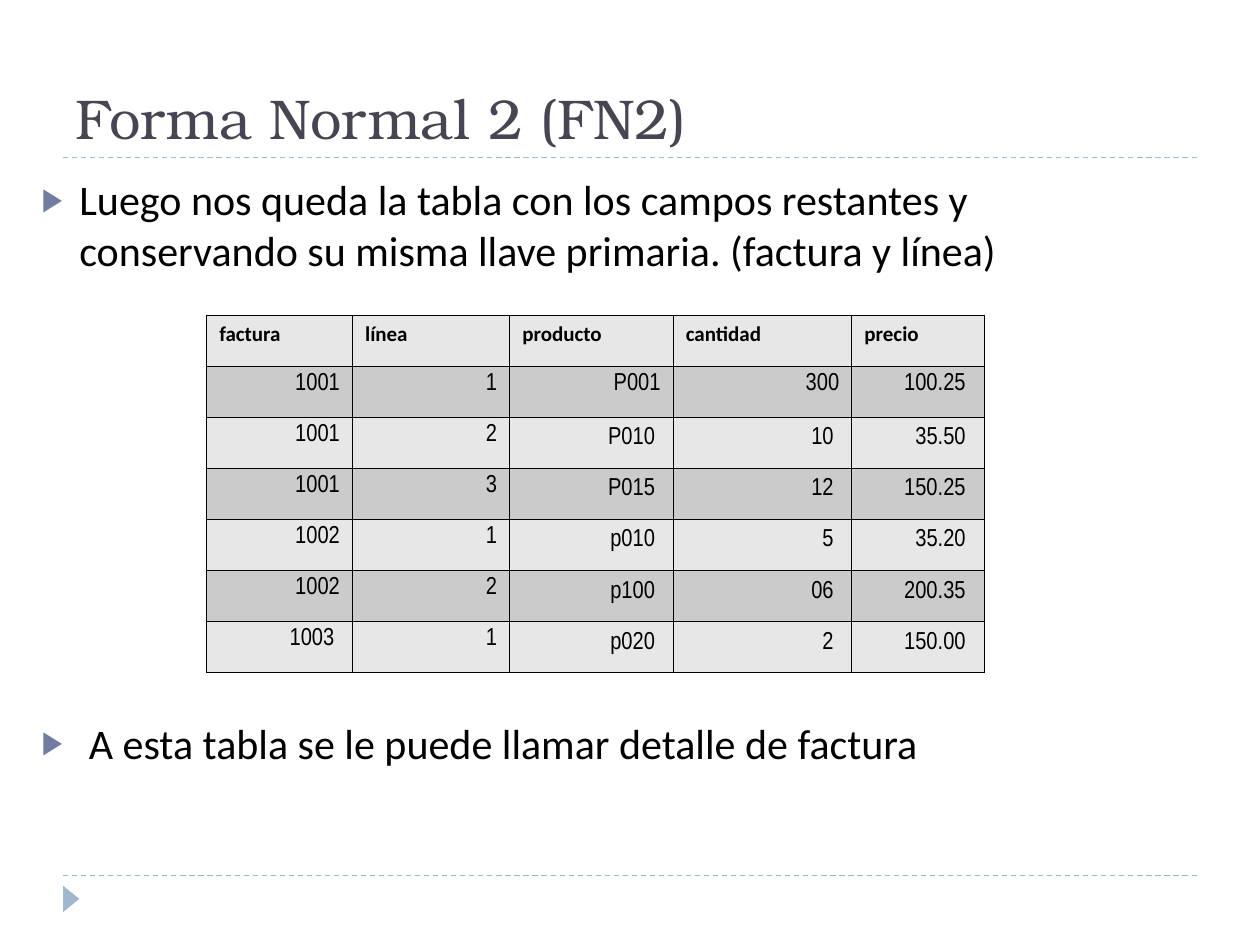
from dataclasses import dataclass
from lxml.etree import SubElement as Sub
from pptx import Presentation
from pptx.dml.color import RGBColor as RGB
from pptx.enum.dml import MSO_LINE as Dash
from pptx.enum.shapes import MSO_CONNECTOR as Conn, MSO_SHAPE as Shape
from pptx.enum.text import MSO_ANCHOR as Anchor, MSO_AUTO_SIZE as Auto, PP_ALIGN as Align
from pptx.oxml.ns import qn
from pptx.util import Inches, Pt

WIDE, HIGH = Inches(10), Inches(7.5)


@dataclass(frozen=True)
class Theme:
    """Colours, fonts and type sizes of the slide."""
    ink: str = "000000"
    head: str = "464653"
    mark: str = "727CA3"
    rule: str = "9FB8CD"
    light: str = "E7E7E7"
    dark: str = "CBCBCB"
    serif: str = "TeX Gyre Bonum"
    sans: str = "Calibri"
    thin: str = "Arial Narrow"
    title: int = 32
    body: int = 24
    label: int = 12
    cell: int = 14


THEME = Theme()
FIELDS = ["factura", "línea", "producto", "cantidad", "precio"]
SHARES = [1.16, 1.25, 1.3, 1.42, 1.05]
ROWS = [
    ["1001", "1", "P001", "300", "100.25 "],
    ["1001", "2", "P010 ", "10 ", "35.50 "],
    ["1001", "3", "P015 ", "12 ", "150.25 "],
    ["1002", "1", "p010 ", "5 ", "35.20 "],
    ["1002", "2", "p100 ", "06 ", "200.35 "],
    ["1003 ", "1", "p020 ", "2 ", "150.00 "],
]
POINTS = [
    ("Luego nos queda la tabla con los campos restantes y conservando "
     "su misma llave primaria. (factura y línea)", 0),
    (" A esta tabla se le puede llamar detalle de factura", 253),
]


def area(left, top, width, height):
    """Turn inches on the slide into shares of its size, then into a box."""
    return (int(WIDE * left / 10), int(HIGH * top / 7.5),
            int(WIDE * width / 10), int(HIGH * height / 7.5))


def place(shape, box):
    """Move a shape into a box."""
    shape.left, shape.top, shape.width, shape.height = box


def style(para, face, size, tint, bold=False):
    """Set the font of a whole paragraph."""
    font = para.font
    font.name, font.size, font.bold = face, Pt(size), bold
    font.color.rgb = RGB.from_string(tint)


def bullet(para):
    """Give a paragraph a hanging triangle bullet."""
    props = para._p.get_or_add_pPr()
    props.set("marL", str(Inches(0.3)))
    props.set("indent", str(-Inches(0.3)))
    Sub(Sub(props, qn("a:buClr")), qn("a:srgbClr"), val=THEME.mark)
    Sub(props, qn("a:buSzPct"), val="76000")
    Sub(props, qn("a:buFont"), typeface="Arial")
    Sub(props, qn("a:buChar"), char="▶")


def border(cell):
    """Draw a thin line on each side of a cell."""
    props = cell._tc.get_or_add_tcPr()
    for side in ("lnL", "lnR", "lnT", "lnB"):
        line = Sub(props, qn("a:" + side), w=str(Pt(0.45)))
        Sub(Sub(line, qn("a:solidFill")), qn("a:srgbClr"), val=THEME.ink)


def rule(slide, box):
    """Draw a dashed line along the top of a box."""
    left, top, width, _ = box
    line = slide.shapes.add_connector(Conn.STRAIGHT, left, top, left + width, top)
    line.line.color.rgb = RGB.from_string(THEME.rule)
    line.line.width = Pt(0.75)
    line.line.dash_style = Dash.DASH
    Sub(line._element.spPr, qn("a:effectLst"))


def footer(slide, box):
    """Draw the lower rule and the page arrow under it."""
    left, top, width, height = box
    rule(slide, box)
    long, short = height * 0.7, height * 0.43
    mark = slide.shapes.add_shape(
        Shape.ISOSCELES_TRIANGLE, int(left - (long - short) / 2),
        int(top + height * 0.4), int(long), int(short))
    mark.rotation = 90
    mark.shadow.inherit = False
    mark.fill.solid()
    mark.fill.fore_color.rgb = RGB.from_string(THEME.rule)
    mark.line.fill.background()


def header(slide, box):
    """Fill the title and underline it."""
    left, top, width, height = box
    title = slide.shapes.title
    place(title, box)
    frame = title.text_frame
    frame.text = "Forma Normal 2 (FN2)"
    frame.vertical_anchor, frame.auto_size = Anchor.BOTTOM, Auto.NONE
    para = frame.paragraphs[0]
    para.alignment = Align.LEFT
    style(para, THEME.serif, THEME.title, THEME.head)
    rule(slide, (left, top + height, width, 0))


def body(slide, box):
    """Fill the list, leaving room between its points for the table."""
    shape = slide.placeholders[1]
    place(shape, box)
    frame = shape.text_frame
    frame.text = "\n".join(text for text, _ in POINTS)
    frame.auto_size = Auto.NONE
    for para, (_, gap) in zip(frame.paragraphs, POINTS):
        bullet(para)
        para.space_before = Pt(gap)
        style(para, THEME.sans, THEME.body, THEME.ink)


def grid(slide, box):
    """Build the invoice detail table with banded rows."""
    left, top, width, height = box
    rows = [FIELDS] + ROWS
    table = slide.shapes.add_table(len(rows), len(FIELDS), *box).table
    for col, share in zip(table.columns, SHARES):
        col.width = int(width * share / sum(SHARES))
    for r, row in enumerate(rows):
        table.rows[r].height = height // len(rows)
        for c, text in enumerate(row):
            cell = table.cell(r, c)
            border(cell)
            cell.fill.solid()
            cell.fill.fore_color.rgb = RGB.from_string(
                THEME.dark if r % 2 else THEME.light)
            cell.text = text
            para = cell.text_frame.paragraphs[0]
            if r == 0:
                style(para, THEME.sans, THEME.label, THEME.ink, True)
                continue
            para.alignment = Align.RIGHT
            if r > 1 and c > 1:
                para.line_spacing, para.space_after = 1.15, Pt(10)
            style(para, THEME.thin, THEME.cell, THEME.ink)


def main():
    """Build the slide and save it."""
    deck = Presentation()
    deck.slide_width, deck.slide_height = WIDE, HIGH
    slide = deck.slides.add_slide(deck.slide_layouts[1])
    header(slide, area(0.5, 0.17, 9, 1.08))
    body(slide, area(0.23, 1.33, 9, 5))
    grid(slide, area(1.64, 2.5, 6.17, 2.84))
    footer(slide, area(0.5, 6.95, 9, 0.3))
    deck.save("out.pptx")


if __name__ == "__main__":
    main()
